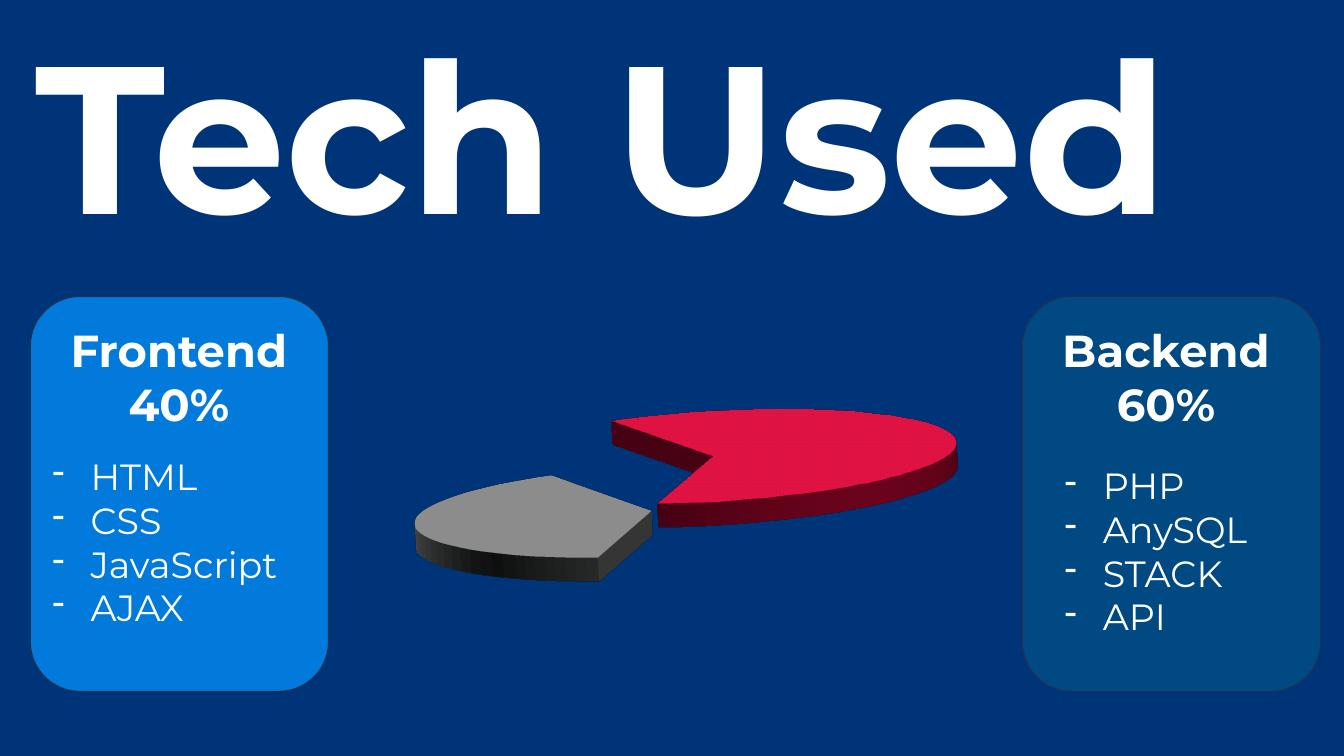
from pptx import Presentation
from pptx import util as u
from pptx.dml import color
from pptx.enum import shapes, text
from pptx.oxml import xmlchemy as xml

FONT = "Montserrat"
HEX = {
    "back": "003478", "white": "FFFFFF", "edge": "1E3256",
    "front": "017ADC", "rear": "014983", "gray": "808080", "red": "D00636",
}
DEPTH = 0.24
TILT = {"lat": 295.7, "lon": 295.2, "rev": 70.4}


def rgb(name):
    return color.RGBColor.from_string(HEX[name])


def node(tag, **attrs):
    item = xml.OxmlElement(tag)
    for key, value in attrs.items():
        item.set(key, str(value))
    return item


def write(parts, box, lines, size, bold=False, align=None, dash=False):
    frame = parts.add_textbox(*map(u.Inches, box)).text_frame
    frame.word_wrap = True
    frame.auto_size = text.MSO_AUTO_SIZE.SHAPE_TO_FIT_TEXT
    for i, line in enumerate(lines):
        para = frame.add_paragraph() if i else frame.paragraphs[0]
        para.text = line
        para.alignment = align
        font = para.font
        font.name, font.size, font.bold = FONT, u.Pt(size), bold
        font.color.rgb = rgb("white")
        if dash:
            props = para._p.get_or_add_pPr()
            props.set("marL", str(u.Inches(0.38)))
            props.set("indent", str(u.Inches(-0.38)))
            for mark in (node("a:buFontTx"), node("a:buChar", char="-")):
                props.insert_element_before(
                    mark, "a:tabLst", "a:defRPr", "a:extLst")


def plain(parts, kind, box, fill):
    shape = parts.add_shape(kind, *map(u.Inches, box))
    shape.shadow.inherit = False
    shape.fill.solid()
    shape.fill.fore_color.rgb = rgb(fill)
    return shape


def card(slide, box, fill, head, items, left, inset, drop):
    x, y, w, h = box
    parts = slide.shapes.add_group_shape().shapes
    panel = plain(parts, shapes.MSO_SHAPE.ROUNDED_RECTANGLE, box, fill)
    panel.line.color.rgb = rgb("edge")
    panel.line.width = u.Pt(1)
    write(parts, (x + left, y + 0.21, w + 0.09, 1.18), head, 32, True,
          text.PP_ALIGN.CENTER)
    write(parts, (x + inset, y + drop, 2.58, 1.85), items, 26, dash=True)


def wedge(slide, box, fill, start, end):
    shape = plain(slide.shapes, shapes.MSO_SHAPE.PIE, box, fill)
    shape.line.fill.background()
    shape.adjustments[0], shape.adjustments[1] = start, end
    scene = node("a:scene3d")
    view = node("a:camera", prst="orthographicFront")
    view.append(node("a:rot", **{k: round(v * 60000) for k, v in TILT.items()}))
    scene.append(view)
    scene.append(node("a:lightRig", rig="threePt", dir="t"))
    props = shape._element.spPr
    props.append(scene)
    props.append(node("a:sp3d", extrusionH=u.Inches(DEPTH)))


def main():
    deck = Presentation()
    deck.slide_width, deck.slide_height = u.Inches(13.33), u.Inches(7.5)
    slide = deck.slides.add_slide(deck.slide_layouts[6])
    slide.background.fill.solid()
    slide.background.fill.fore_color.rgb = rgb("back")
    write(slide.shapes, (0.25, 0, 12.38, 2.63), ["Tech Used"], 150, True)
    wedge(slide, (4.12, 2.64, 4.68, 4.86), "gray", 76.22, 162)
    wedge(slide, (4.66, 2.1, 4.83, 4.86), "red", 161.73, 76.46)
    card(slide, (0.3, 2.94, 2.96, 3.92), "front", ["Frontend", "40%"],
         ["HTML", "CSS", "JavaScript", "AJAX"], -0.05, 0.12, 1.52)
    card(slide, (10.14, 2.94, 2.96, 3.92), "rear", ["Backend", "60%"],
         ["PHP", "AnySQL", "STACK", "API"], -0.1, 0.32, 1.61)
    deck.save("out.pptx")


if __name__ == "__main__":
    main()
